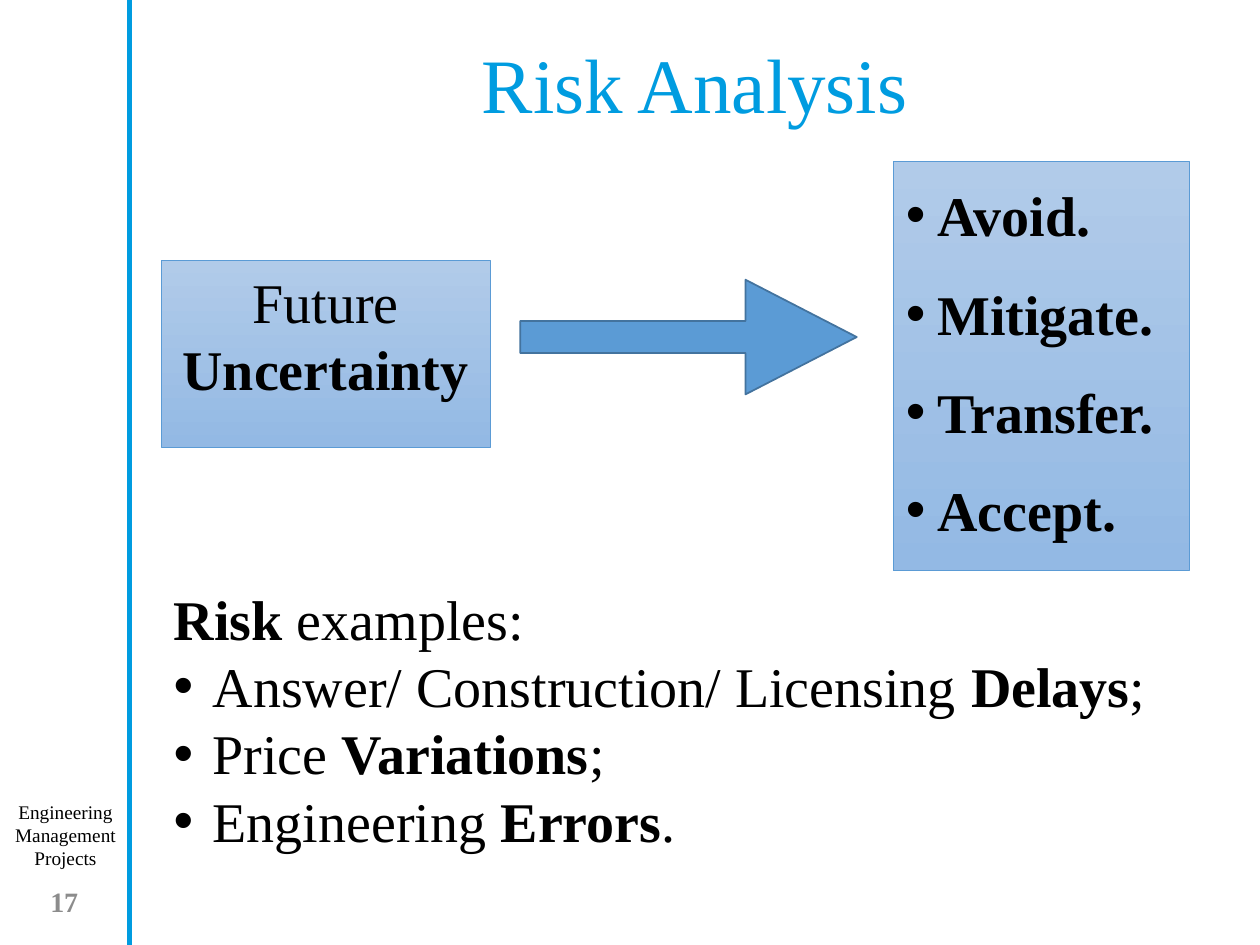
from lxml import etree
from pptx import Presentation
from pptx.dml.color import RGBColor
from pptx.enum.shapes import MSO_CONNECTOR, MSO_SHAPE
from pptx.enum.text import MSO_ANCHOR, MSO_AUTO_SIZE, PP_ALIGN
from pptx.oxml.ns import qn
from pptx.util import Inches, Pt

LEFT, CENTER = PP_ALIGN.LEFT, PP_ALIGN.CENTER
TOP, MIDDLE = MSO_ANCHOR.TOP, MSO_ANCHOR.MIDDLE
NO_AUTOFIT = MSO_AUTO_SIZE.NONE
RECTANGLE, RIGHT_ARROW = MSO_SHAPE.RECTANGLE, MSO_SHAPE.RIGHT_ARROW
STRAIGHT = MSO_CONNECTOR.STRAIGHT

FONT = "Times New Roman"
COLORS = {
    "accent": "009CE0",
    "text": "000000",
    "number": "8C8C8C",
    "box_top": "B1CBE9",
    "box_bottom": "93B9E4",
    "box_line": "5B9BD5",
    "arrow": "5B9BD5",
    "arrow_line": "43739E",
}


def color(name):
    return RGBColor.from_string(COLORS[name])


class SlideBuilder:
    def __init__(self, slide):
        self.slide = slide
        self.shapes = slide.shapes

    def add_text(self, shape, paragraphs, size=32, ink="text", align=LEFT,
                 anchor=TOP, spacing=None, before=None):
        """Each paragraph is (bullet indent, [(text, bold), ...])."""
        frame = shape.text_frame
        frame.word_wrap = True
        frame.auto_size = NO_AUTOFIT
        frame.vertical_anchor = anchor
        for index, (indent, runs) in enumerate(paragraphs):
            paragraph = frame.add_paragraph() if index else frame.paragraphs[0]
            paragraph.alignment = align
            if spacing:
                paragraph.line_spacing = spacing
            if before:
                paragraph.space_before = Pt(before)
            if indent:
                self.bullet(paragraph, indent)
            for text, bold in runs:
                run = paragraph.add_run()
                run.text = text
                run.font.name = FONT
                run.font.size = Pt(size)
                run.font.bold = bold
                run.font.color.rgb = color(ink)

    def bullet(self, paragraph, indent):
        properties = paragraph._p.get_or_add_pPr()
        properties.set("marL", str(Inches(indent)))
        properties.set("indent", str(-Inches(indent)))
        etree.SubElement(properties, qn("a:buFont"), typeface="Arial")
        etree.SubElement(properties, qn("a:buChar"), char="•")

    def title(self, box, text):
        title = self.shapes.title
        title.left, title.top, title.width, title.height = map(Inches, box)
        self.add_text(title, [(0, [(text, False)])], 44, "accent", CENTER,
                      MIDDLE, spacing=0.9)

    def text(self, box, paragraphs, **style):
        self.add_text(self.shapes.add_textbox(*map(Inches, box)), paragraphs, **style)

    def shape(self, kind, box, line, width):
        shape = self.shapes.add_shape(kind, *map(Inches, box))
        shape.shadow.inherit = False
        shape.line.color.rgb = color(line)
        shape.line.width = Pt(width)
        return shape

    def gradient_box(self, box, paragraphs, **style):
        panel = self.shape(RECTANGLE, box, "box_line", 0.5)
        panel.fill.gradient()
        panel.fill.gradient_angle = 270
        for stop, name in zip(panel.fill.gradient_stops, ("box_top", "box_bottom")):
            stop.color.rgb = color(name)
        self.add_text(panel, paragraphs, **style)

    def arrow(self, box, shaft, head):
        arrow = self.shape(RIGHT_ARROW, box, "arrow_line", 1)
        arrow.fill.solid()
        arrow.fill.fore_color.rgb = color("arrow")
        arrow.adjustments[0] = shaft
        arrow.adjustments[1] = head

    def line(self, start, end, name, width):
        line = self.shapes.add_connector(STRAIGHT, *map(Inches, start + end))
        line.line.color.rgb = color(name)
        line.line.width = Pt(width)
        etree.SubElement(line._element.spPr, qn("a:effectLst"))


presentation = Presentation()
presentation.slide_width = Inches(10)
presentation.slide_height = Inches(7.5)
risk = SlideBuilder(presentation.slides.add_slide(presentation.slide_layouts[5]))

# Side band with course name and page number
risk.line((1.03, 0), (1.03, 7.5), "accent", 2.75)
risk.text((0, 6.3, 1.04, 0.66),
          [(0, [("Engineering Management Projects", False)])],
          size=11, align=CENTER)
risk.text((-0.01, 6.95, 1.04, 0.4), [(0, [("17", True)])],
          size=16, ink="number", align=CENTER, anchor=MIDDLE)

risk.title((1.37, 0.24, 8.29, 0.93), "Risk Analysis")

# From uncertainty to the possible responses
risk.gradient_box((1.28, 2.07, 2.61, 1.48),
                  [(0, [("Future", False), (" Uncertainty", True)])],
                  align=CENTER)
risk.arrow((4.13, 2.22, 2.67, 0.91), 0.28, 0.97)
responses = ["Avoid.", "Mitigate.", "Transfer.", "Accept."]
risk.gradient_box((7.09, 1.28, 2.35, 3.25),
                  [(0.25, [(response, True)]) for response in responses],
                  spacing=1.2, before=10)

# Risk examples
examples = [
    ("Answer/ Construction/ Licensing ", "Delays", ";"),
    ("Price ", "Variations", ";"),
    ("Engineering ", "Errors", "."),
]
heading = (0, [("Risk", True), (" examples:", False)])
risk.text((1.28, 4.59, 8.17, 2.26),
          [heading] + [(0.31, [(cause, False), (effect, True), (mark, False)])
                       for cause, effect, mark in examples])

presentation.save("out.pptx")
